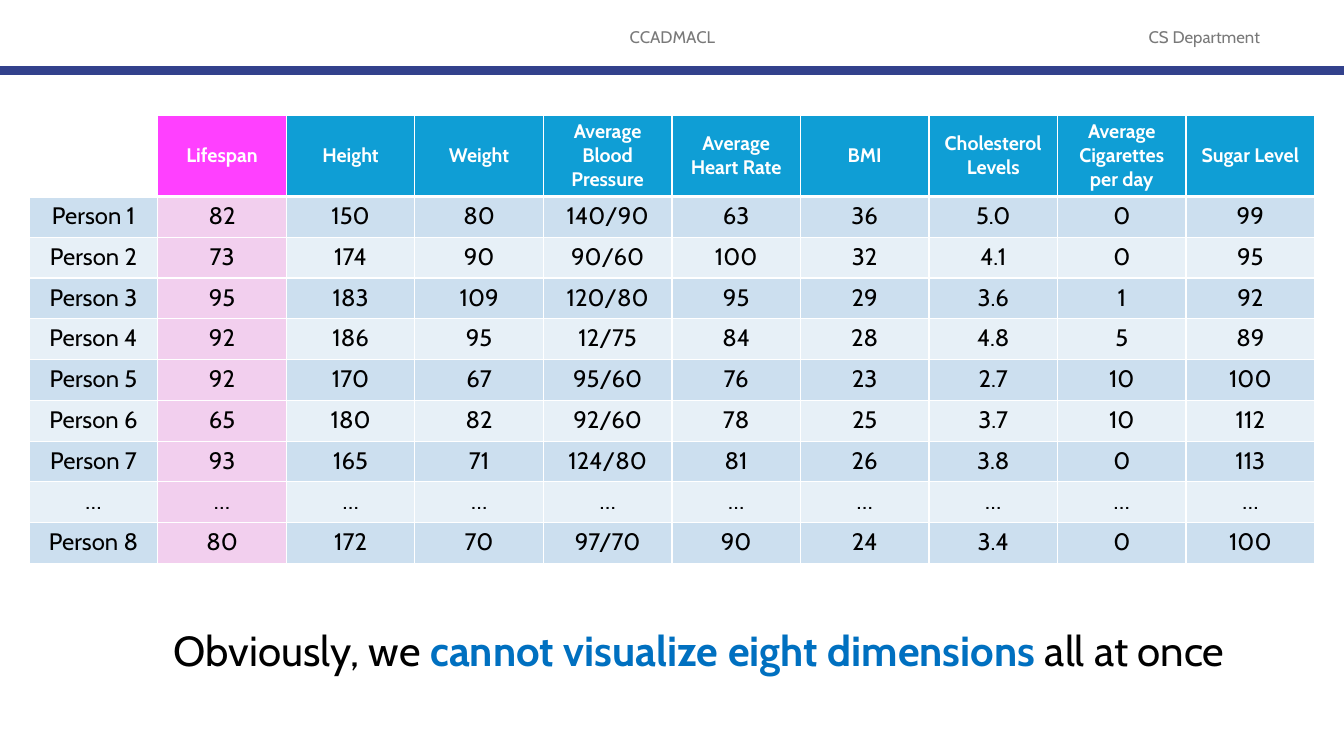
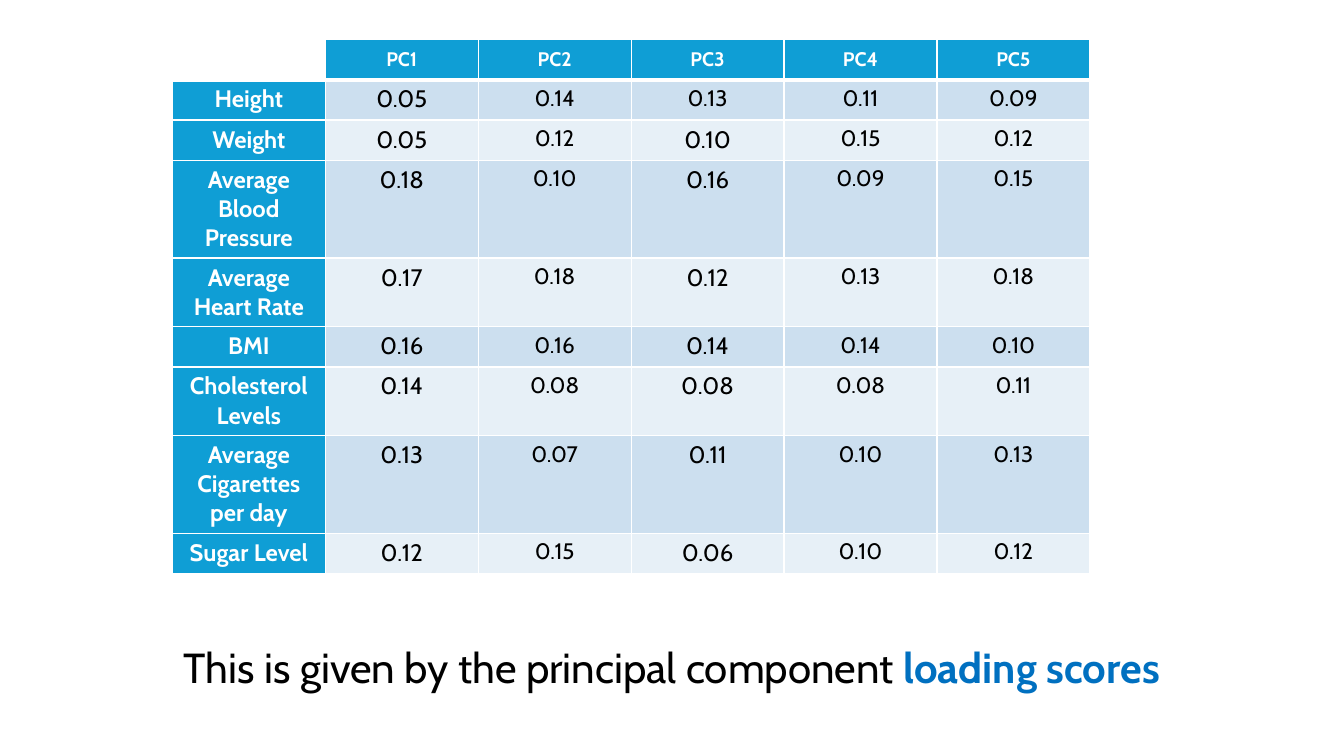
import dataclasses

import lxml.etree
import pptx
import pptx.dml.color
import pptx.enum.shapes
import pptx.enum.text
import pptx.oxml.ns
import pptx.slide
import pptx.table
import pptx.text.text
import pptx.util

Inches = pptx.util.Inches
Pt = pptx.util.Pt
RGBColor = pptx.dml.color.RGBColor
ALIGN = pptx.enum.text.PP_ALIGN
ANCHOR = pptx.enum.text.MSO_ANCHOR

FONT = "Cabin"
WHITE = RGBColor(0xFF, 0xFF, 0xFF)
BLACK = RGBColor(0x00, 0x00, 0x00)
GRAY = RGBColor(0x79, 0x79, 0x79)
NAVY = RGBColor(0x32, 0x41, 0x8C)
BLUE = RGBColor(0x00, 0x70, 0xC0)
CYAN = RGBColor(0x0F, 0x9E, 0xD5)
PINK = RGBColor(0xFF, 0x40, 0xFF)
BLUSH = RGBColor(0xF2, 0xCF, 0xEE)
BANDS = (RGBColor(0xCC, 0xDF, 0xEF), RGBColor(0xE7, 0xF0, 0xF7))

TRAITS = ["Height", "Weight", "Average Blood Pressure", "Average Heart Rate",
          "BMI", "Cholesterol Levels", "Average Cigarettes per day",
          "Sugar Level"]

PEOPLE = [
    ["Person 1", "82", "150", "80", "140/90", "63", "36", "5.0", "0", "99"],
    ["Person 2", "73", "174", "90", "90/60", "100", "32", "4.1", "0", "95"],
    ["Person 3", "95", "183", "109", "120/80", "95", "29", "3.6", "1", "92"],
    ["Person 4", "92", "186", "95", "12/75", "84", "28", "4.8", "5", "89"],
    ["Person 5", "92", "170", "67", "95/60", "76", "23", "2.7", "10", "100"],
    ["Person 6", "65", "180", "82", "92/60", "78", "25", "3.7", "10", "112"],
    ["Person 7", "93", "165", "71", "124/80", "81", "26", "3.8", "0", "113"],
    ["…"] * 10,
    ["Person 8", "80", "172", "70", "97/70", "90", "24", "3.4", "0", "100"],
]

SCORES = [
    ["0.05", "0.14", "0.13", "0.11", "0.09"],
    ["0.05", "0.12", "0.10", "0.15", "0.12"],
    ["0.18", "0.10", "0.16", "0.09", "0.15"],
    ["0.17", "0.18", "0.12", "0.13", "0.18"],
    ["0.16", "0.16", "0.14", "0.14", "0.10"],
    ["0.14", "0.08", "0.08", "0.08", "0.11"],
    ["0.13", "0.07", "0.11", "0.10", "0.13"],
    ["0.12", "0.15", "0.06", "0.10", "0.12"],
]


@dataclasses.dataclass
class Box:
    left: float
    top: float
    width: float
    height: float

    def place(self) -> list[int]:
        return [Inches(side) for side in dataclasses.astuple(self)]


@dataclasses.dataclass
class Look:
    fill: RGBColor
    color: RGBColor = BLACK
    size: int = 17
    bold: bool = False


@dataclasses.dataclass
class Part:
    text: str
    color: RGBColor = BLACK
    bold: bool = False


HEAD = Look(CYAN, WHITE, 14, True)
SIDE = Look(CYAN, WHITE, 17, True)


def add_text(slide: pptx.slide.Slide, box: Box, parts: list[Part],
             size: int) -> pptx.text.text._Paragraph:
    """Add one centred line of text made of coloured parts."""
    frame = slide.shapes.add_textbox(*box.place()).text_frame
    frame.word_wrap = True
    frame.vertical_anchor = ANCHOR.MIDDLE
    para = frame.paragraphs[0]
    para.alignment = ALIGN.CENTER
    para.font.name = FONT
    para.font.size = Pt(size)
    for part in parts:
        run = para.add_run()
        run.text = part.text
        run.font.bold = part.bold
        run.font.color.rgb = part.color
    return para


def add_claim(slide: pptx.slide.Slide, box: Box, parts: list[Part]) -> None:
    para = add_text(slide, box, parts, 30)
    para.line_spacing = 0.9
    para.space_before = Pt(10)


def add_header(slide: pptx.slide.Slide) -> None:
    add_text(slide, Box(4.42, 0.17, 4.5, 0.4), [Part("CCADMACL", GRAY)], 12)
    add_text(slide, Box(10.92, 0.17, 2.05, 0.4),
             [Part("CS Department", GRAY)], 12)
    rule = slide.shapes.add_connector(
        pptx.enum.shapes.MSO_CONNECTOR.STRAIGHT,
        Inches(0), Inches(0.7), Inches(13.33), Inches(0.7))
    rule.line.color.rgb = NAVY
    rule.line.width = Pt(6)
    lxml.etree.SubElement(rule._element.spPr,
                          pptx.oxml.ns.qn("a:effectLst"))


def add_edges(cell: pptx.table._Cell, row: int) -> None:
    """Draw white borders, thick between the head and the body."""
    qn = pptx.oxml.ns.qn
    props = cell._tc.get_or_add_tcPr()
    for side in ("L", "R", "T", "B"):
        thick = (row, side) in ((0, "B"), (1, "T"))
        line = lxml.etree.SubElement(props, qn(f"a:ln{side}"),
                                     w=str(Pt(3 if thick else 1)))
        fill = lxml.etree.SubElement(line, qn("a:solidFill"))
        lxml.etree.SubElement(fill, qn("a:srgbClr"), val=str(WHITE))


def fill_cell(cell: pptx.table._Cell, text: str, look: Look) -> None:
    cell.fill.solid()
    cell.fill.fore_color.rgb = look.fill
    cell.text = text
    para = cell.text_frame.paragraphs[0]
    para.alignment = ALIGN.CENTER
    para.font.name = FONT
    para.font.size = Pt(look.size)
    para.font.bold = look.bold
    para.font.color.rgb = look.color


def add_grid(slide: pptx.slide.Slide, box: Box, rows: list[list[str]],
             looks: list[list[Look]], heights: list[float]) -> None:
    """Add a table with equal columns and an open top left corner."""
    count = len(rows[0])
    grid = slide.shapes.add_table(len(rows), count, *box.place()).table
    grid.horz_banding = False
    for col in grid.columns:
        col.width = Inches(box.width / count)
    for y, height in enumerate(heights):
        grid.rows[y].height = Inches(height)
        for x in range(count):
            cell = grid.cell(y, x)
            add_edges(cell, y)
            if y == 0:
                cell.vertical_anchor = ANCHOR.MIDDLE
            if rows[y][x]:
                fill_cell(cell, rows[y][x], looks[y][x])
            else:
                cell.fill.background()


def build_people(slide: pptx.slide.Slide) -> None:
    add_header(slide)
    rows = [["", "Lifespan", *TRAITS], *PEOPLE]
    looks = [[HEAD, dataclasses.replace(HEAD, fill=PINK)]
             + [HEAD] * len(TRAITS)]
    for y in range(len(PEOPLE)):
        band = Look(BANDS[y % 2])
        looks.append([band, Look(BLUSH)] + [band] * len(TRAITS))
    top, body = 0.81, 3.64
    heights = [top] + [body / len(PEOPLE)] * len(PEOPLE)
    add_grid(slide, Box(0.29, 1.14, 12.75, top + body), rows, looks, heights)
    add_claim(slide, Box(1.16, 6.04, 11.55, 0.87), [
        Part("Obviously, we "),
        Part("cannot visualize eight dimensions ", BLUE, True),
        Part("all at once")])


def build_scores(slide: pptx.slide.Slide) -> None:
    add_claim(slide, Box(0.4, 5.91, 12.53, 1.47), [
        Part("This is given by the principal component "),
        Part("loading scores", BLUE, True)])
    rows = [["", *(f"PC{n}" for n in range(1, 6))]]
    rows += [[trait, *score] for trait, score in zip(TRAITS, SCORES)]
    looks = [[HEAD] * 6]
    for y in range(len(SCORES)):
        sizes = (17, 16, 17 if y else 16, 16, 16)
        looks.append([SIDE] + [Look(BANDS[y % 2], size=s) for s in sizes])
    # Row heights for labels of one, two and three lines
    one, two, three = 0.4, 0.68, 0.97
    heights = [one, one, one, three, two, one, two, three, one]
    add_grid(slide, Box(1.71, 0.39, 9.1, sum(heights)), rows, looks, heights)


def main() -> None:
    deck = pptx.Presentation()
    deck.slide_width = Inches(13.33)
    deck.slide_height = Inches(7.5)
    blank = deck.slide_layouts[6]
    for build in (build_people, build_scores):
        build(deck.slides.add_slide(blank))
    deck.save("out.pptx")


if __name__ == "__main__":
    main()
